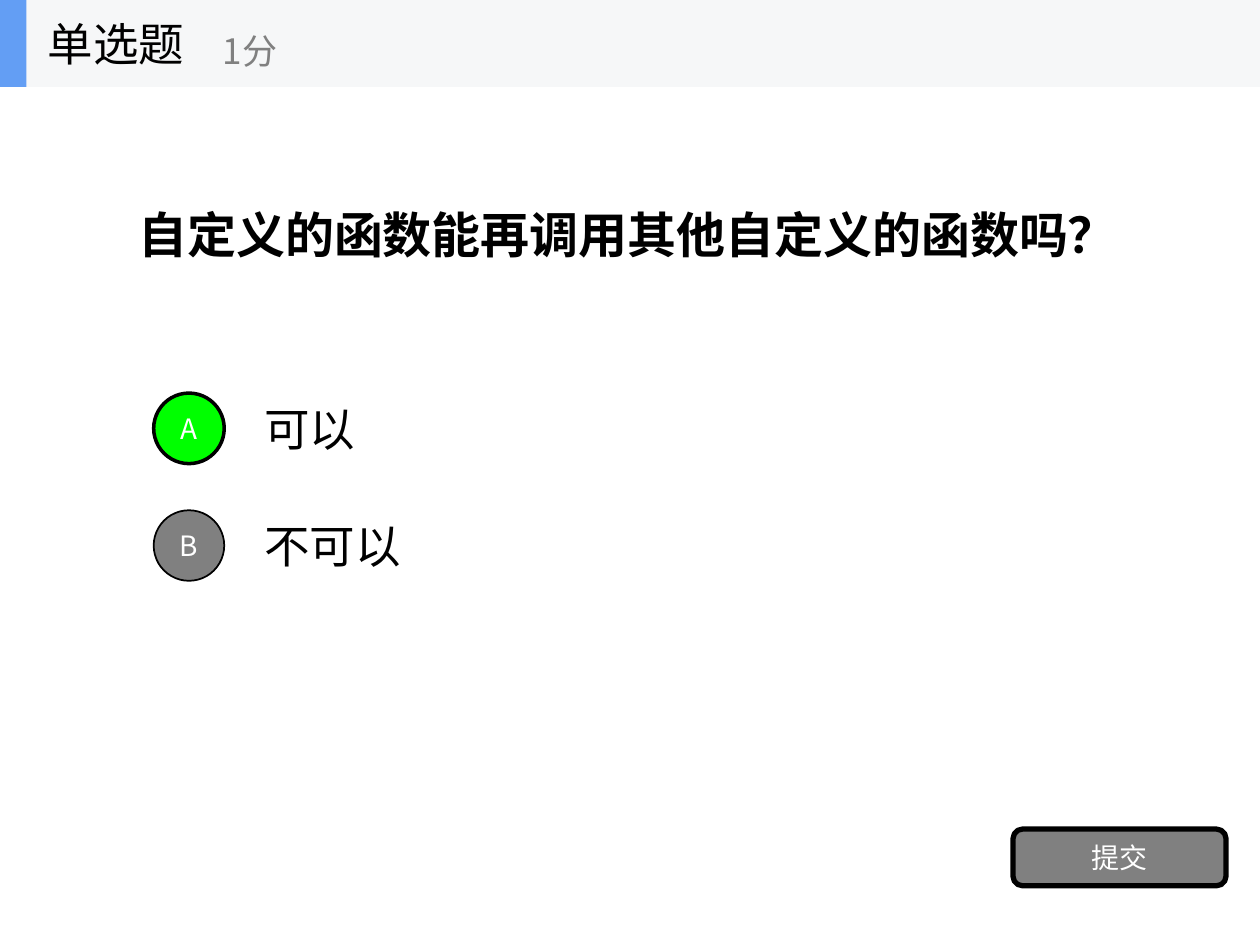
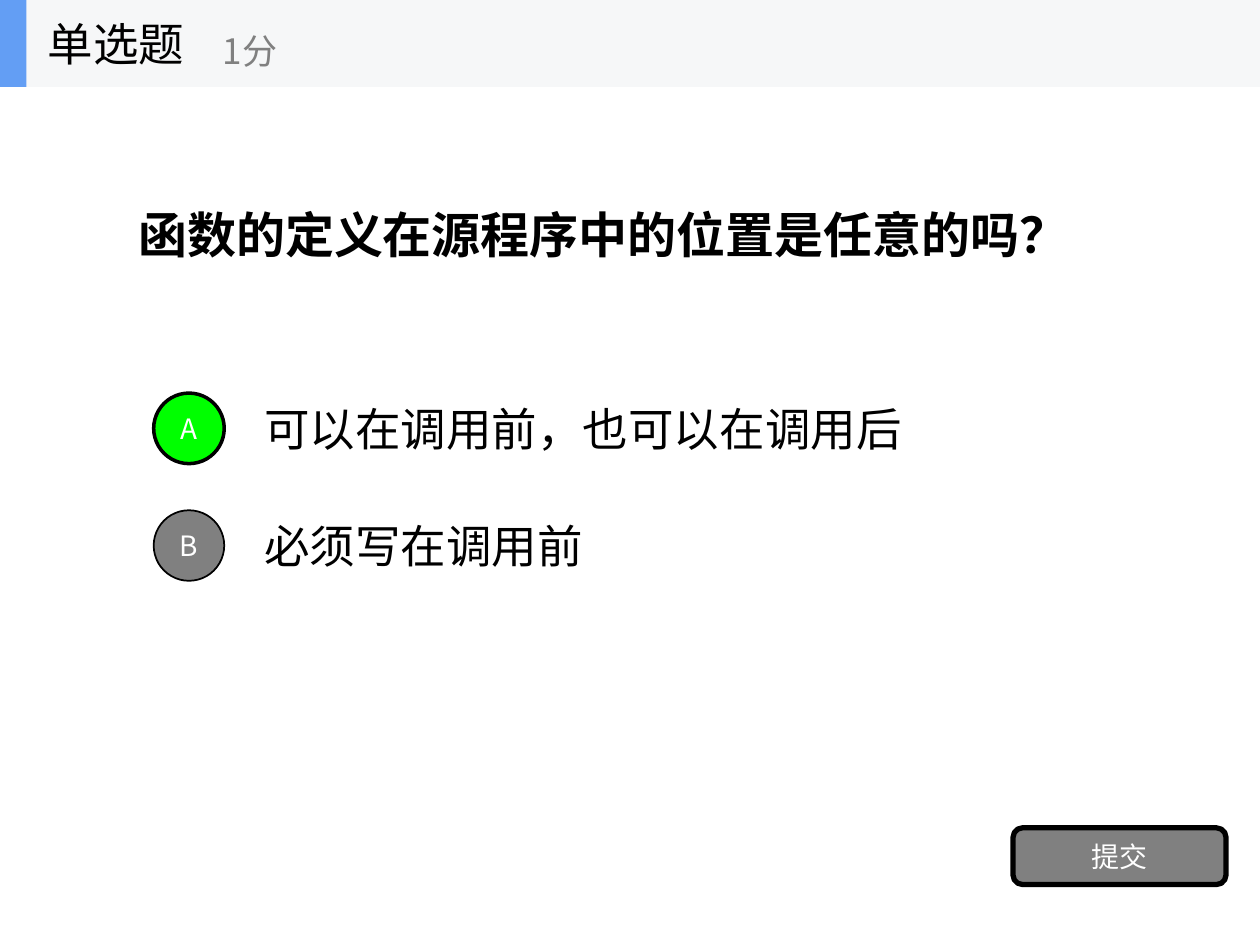
"""Build two single-choice quiz slides."""
import pptx
import pptx.dml.color
import pptx.enum.shapes
import pptx.enum.text
import pptx.oxml.ns
import pptx.util
from lxml import etree

RGBColor = pptx.dml.color.RGBColor
BLACK = RGBColor(0x00, 0x00, 0x00)
WHITE = RGBColor(0xFF, 0xFF, 0xFF)
GREY = RGBColor(0x80, 0x80, 0x80)
GREEN = RGBColor(0x00, 0xFF, 0x00)
BLUE = RGBColor(0x63, 0x9E, 0xF4)
PALE = RGBColor(0xF6, 0xF7, 0xF8)

FONT = "Noto Sans CJK SC"
KIND = pptx.enum.shapes.MSO_SHAPE
ALIGN = pptx.enum.text.PP_ALIGN
COLS, ROWS = 10, 7.5
BAND = 0.69
FIRST, STEP, TALL = 3.05, 0.93, 0.7
DOT = 0.56

QUIZ = [
    ("自定义的函数能再调用其他自定义的函数吗？", ["可以", "不可以"], 6.58),
    ("函数的定义在源程序中的位置是任意的吗？",
     ["可以在调用前，也可以在调用后", "必须写在调用前"], 6.57),
]


def grid(*cells):
    """Turn one-inch grid cells into lengths."""
    return [pptx.util.Inches(cell) for cell in cells]


def write(frame, text, size, color, bold=False, align=ALIGN.LEFT):
    """Write one run, centred vertically in its frame."""
    frame.word_wrap = True
    frame.vertical_anchor = pptx.enum.text.MSO_ANCHOR.MIDDLE
    para = frame.paragraphs[0]
    para.alignment = align
    run = para.add_run()
    run.text = text
    font = run.font
    font.name, font.size, font.bold = FONT, pptx.util.Pt(size), bold
    font.color.rgb = color
    east = etree.SubElement(run._r.get_or_add_rPr(), pptx.oxml.ns.qn("a:ea"))
    east.set("typeface", FONT)


def label(shapes, place, text, size, color=BLACK, bold=False):
    """Add a left-aligned text box."""
    box = shapes.add_textbox(*grid(*place))
    write(box.text_frame, text, size, color, bold)


def block(shapes, kind, place, fill, line=0, text=""):
    """Add a filled shape with an optional outline and caption."""
    shape = shapes.add_shape(kind, *grid(*place))
    shape.shadow.inherit = False
    shape.fill.solid()
    shape.fill.fore_color.rgb = fill
    if line:
        shape.line.color.rgb = BLACK
        shape.line.width = pptx.util.Pt(line)
    else:
        shape.line.fill.background()
    if text:
        frame = shape.text_frame
        frame.margin_left = frame.margin_right = 0
        frame.margin_top = frame.margin_bottom = 0
        write(frame, text, 16, WHITE, align=ALIGN.CENTER)


def header(slide):
    """Add the grouped title band."""
    shapes = slide.shapes.add_group_shape().shapes
    block(shapes, KIND.RECTANGLE, (0, 0, COLS, BAND), PALE)
    block(shapes, KIND.RECTANGLE, (0, 0, 0.21, BAND), BLUE)
    label(shapes, (0.28, 0, 2.08, BAND), "单选题", 26)
    label(shapes, (1.67, 0.12, 2.5, 0.56), "1分", 20, GREY)


def choice(slide, index, text):
    """Add an answer with its lettered dot; the first is the right one."""
    top = FIRST + index * STEP
    fill, line = (GREY, 1) if index else (GREEN, 2)
    label(slide.shapes, (2, top, 7, TALL), text, 26)
    place = (1.22, top + (TALL - DOT) / 2, DOT, DOT)
    block(slide.shapes, KIND.OVAL, place, fill, line, "AB"[index])


def main():
    """Build and save the deck."""
    deck = pptx.Presentation()
    deck.slide_width, deck.slide_height = grid(COLS, ROWS)
    for question, answers, foot in QUIZ:
        slide = deck.slides.add_slide(deck.slide_layouts[6])
        label(slide.shapes, (1, BAND, 8, 2.34), question, 28, bold=True)
        for index, answer in enumerate(answers):
            choice(slide, index, answer)
        block(slide.shapes, KIND.ROUNDED_RECTANGLE, (8.04, foot, 1.69, 0.45),
              GREY, 3, "提交")
        header(slide)
    deck.save("out.pptx")


if __name__ == "__main__":
    main()
